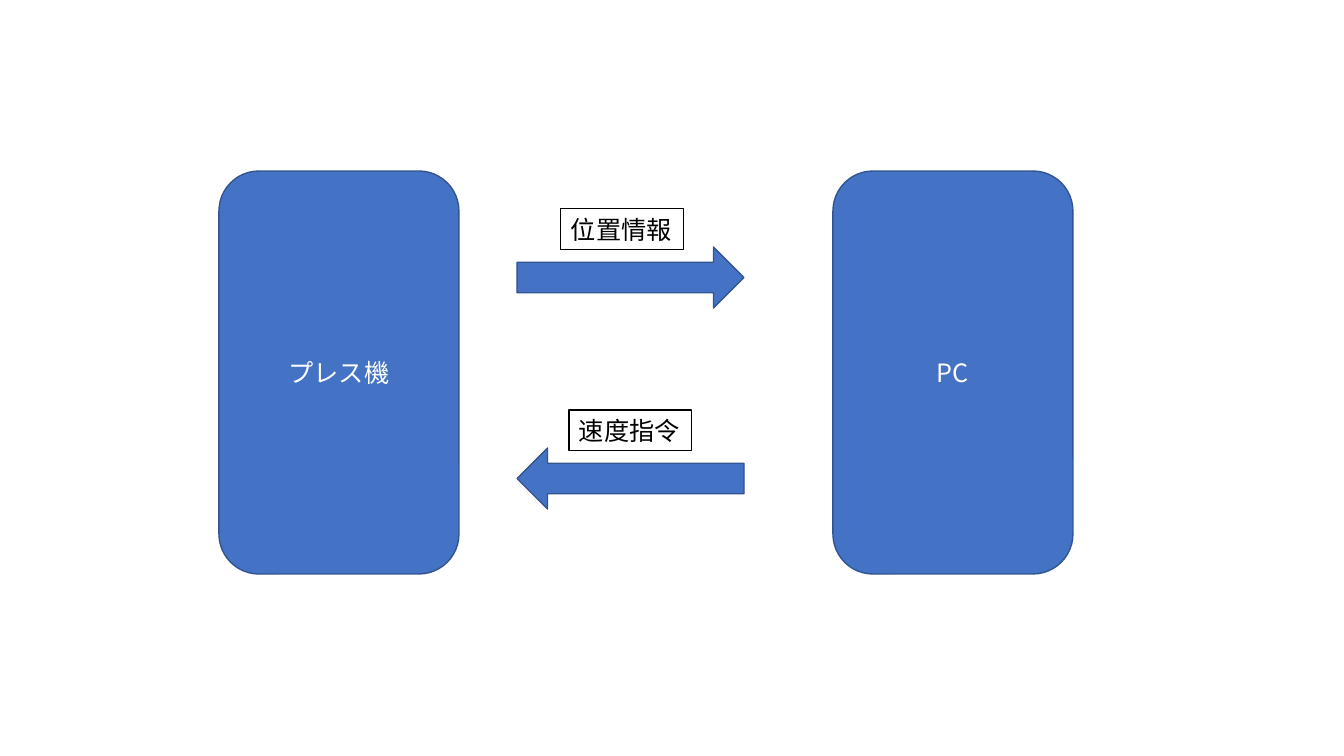
from dataclasses import dataclass

from lxml import etree
from pptx import Presentation
from pptx.dml.color import RGBColor
from pptx.enum.shapes import MSO_SHAPE
from pptx.enum.text import MSO_ANCHOR, MSO_AUTO_SIZE, PP_ALIGN
from pptx.oxml.ns import qn
from pptx.util import Emu, Pt

ROUNDED = MSO_SHAPE.ROUNDED_RECTANGLE
ARROW = MSO_SHAPE.RIGHT_ARROW
MIDDLE = MSO_ANCHOR.MIDDLE
CENTER = PP_ALIGN.CENTER
FIT_SHAPE = MSO_AUTO_SIZE.SHAPE_TO_FIT_TEXT
PX = 914400 / 100.8


@dataclass(frozen=True)
class Theme:
    font: str = "Noto Sans CJK JP"
    text_size: int = 18
    fill: str = "4472C4"
    outline: str = "325491"
    light: str = "FFFFFF"
    dark: str = "000000"
    outline_width: float = 1
    label_width: float = 0.75


class Diagram:
    def __init__(self, slide, theme):
        self.shapes = slide.shapes
        self.theme = theme

    def area(self, *lengths):
        return [Emu(round(length * PX)) for length in lengths]

    def outline(self, shape, color, width):
        shape.line.color.rgb = RGBColor.from_string(color)
        shape.line.width = Pt(width)

    def caption(self, frame, text, color):
        frame.text = text
        font = frame.paragraphs[0].runs[0].font
        font.size = Pt(self.theme.text_size)
        font.name = self.theme.font
        font.color.rgb = RGBColor.from_string(color)
        east_asian = etree.SubElement(font._element, qn("a:ea"))
        east_asian.set("typeface", self.theme.font)

    def block(self, kind, left, top, width, height):
        shape = self.shapes.add_shape(kind, *self.area(left, top, width, height))
        shape.shadow.inherit = False
        shape.fill.solid()
        shape.fill.fore_color.rgb = RGBColor.from_string(self.theme.fill)
        self.outline(shape, self.theme.outline, self.theme.outline_width)
        return shape

    def device(self, text, left, top, width, height):
        frame = self.block(ROUNDED, left, top, width, height).text_frame
        frame.vertical_anchor = MIDDLE
        self.caption(frame, text, self.theme.light)
        frame.paragraphs[0].alignment = CENTER

    def arrow(self, left, top, width, height, rotation):
        self.block(ARROW, left, top, width, height).rotation = rotation

    def label(self, text, left, top, width, height):
        box = self.shapes.add_textbox(*self.area(left, top, width, height))
        self.outline(box, self.theme.dark, self.theme.label_width)
        box.text_frame.word_wrap = False
        box.text_frame.auto_size = FIT_SHAPE
        self.caption(box.text_frame, text, self.theme.dark)


def main():
    presentation = Presentation()
    presentation.slide_width = Emu(round(1344 * PX))
    presentation.slide_height = Emu(round(756 * PX))
    slide = presentation.slides.add_slide(presentation.slide_layouts[6])
    diagram = Diagram(slide, Theme())

    for device_name, left in (("プレス機", 219), ("PC", 833)):
        diagram.device(device_name, left, 171, 240, 403)

    signals = (("位置情報", 561, 209, 0), ("速度指令", 569, 410, 180))
    for signal, left, top, rotation in signals:
        diagram.arrow(517, top + 38, 227, 61, rotation)
        diagram.label(signal, left, top, 123, 41)

    presentation.save("out.pptx")


if __name__ == "__main__":
    main()
